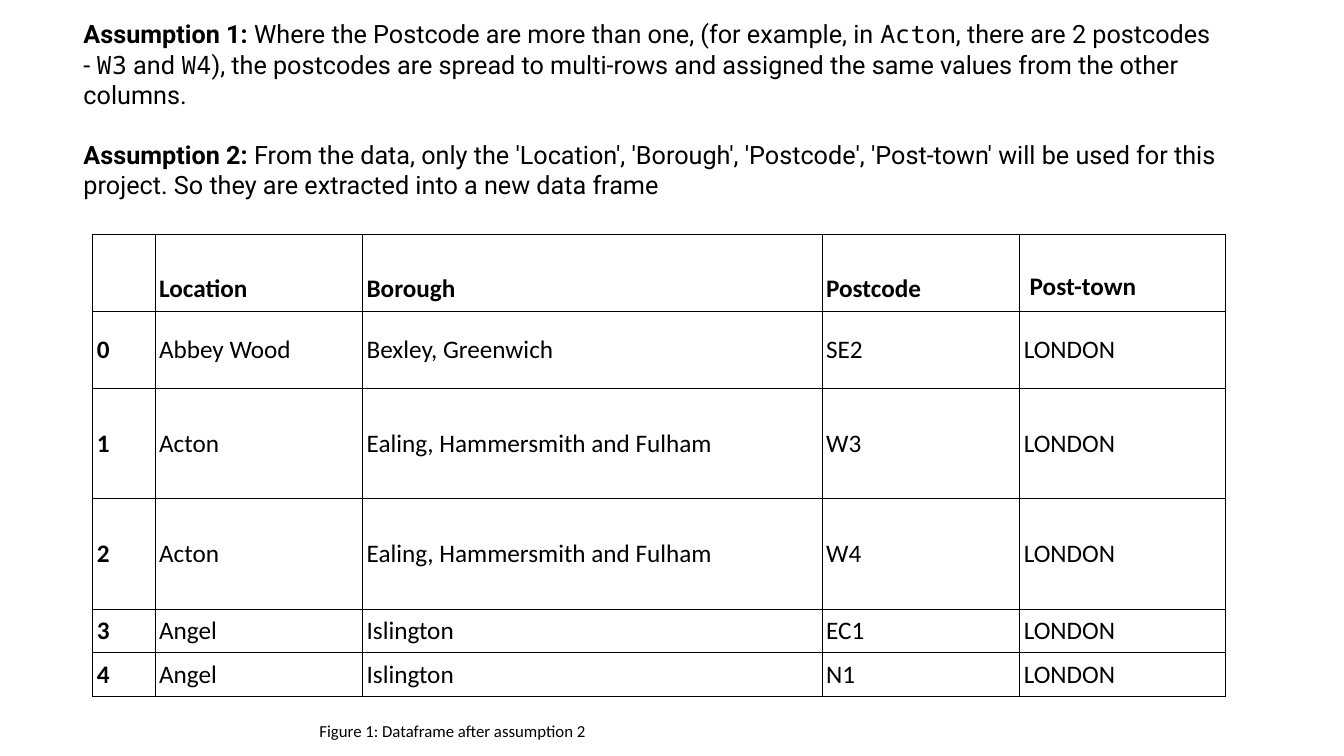
"""Build the slide on the postcode assumptions and the resulting data frame."""
from lxml.etree import SubElement
from pptx import Presentation
from pptx.dml.color import RGBColor
from pptx.enum.text import MSO_ANCHOR, MSO_AUTO_SIZE, PP_ALIGN
from pptx.oxml.ns import qn
from pptx.util import Cm, Pt

COLOURS = {"ink": "000000", "border": "000000"}
BODY, MONO, TABLE = "Roboto", "Noto Sans Mono", "Calibri"
ASSUMPTIONS = [
    [("Assumption 1:", BODY, True),
     (" Where the Postcode are more than one, (for example, in ", BODY, False),
     ("Acton", MONO, False),
     (", there are 2 postcodes - ", BODY, False),
     ("W3", MONO, False),
     (" and ", BODY, False),
     ("W4", MONO, False),
     ("), the postcodes are spread to multi-rows and assigned the same values "
      "from the other columns.", BODY, False)],
    [("Assumption 2:", BODY, True),
     (" From the data, only the 'Location', 'Borough', 'Postcode', 'Post-town' "
      "will be used for this project. So they are extracted into a new data frame",
      BODY, False)],
]
DATAFRAME = [
    ["", "Location", "Borough", "Postcode", "Post-town"],
    ["0", "Abbey Wood", "Bexley, Greenwich", "SE2", "LONDON"],
    ["1", "Acton", "Ealing, Hammersmith and Fulham", "W3", "LONDON"],
    ["2", "Acton", "Ealing, Hammersmith and Fulham", "W4", "LONDON"],
    ["3", "Angel", "Islington", "EC1", "LONDON"],
    ["4", "Angel", "Islington", "N1", "LONDON"],
]
COLUMN_WIDTHS = [1.57, 5.23, 11.58, 4.98, 5.18]
ROW_HEIGHTS = [1.93, 1.93, 2.79, 2.79, 1.09, 1.09]


def apply(target, formats):
    """Set every attribute in formats on the target."""
    for attribute, value in formats.items():
        setattr(target, attribute, value)


def add_run(paragraph, text, font, size, bold=False):
    """Append a run of ink-coloured text."""
    run = paragraph.add_run()
    run.text = text
    apply(run.font, {"name": font, "size": Pt(size), "bold": bold})
    run.font.color.rgb = RGBColor.from_string(COLOURS["ink"])


def fill_title(title):
    """Place the title and write the assumptions in it."""
    apply(title, {"left": Cm(1.85), "top": Cm(1.85), "width": Cm(29.21), "height": Cm(3.3)})
    frame = title.text_frame
    apply(frame, {"word_wrap": True, "auto_size": MSO_AUTO_SIZE.NONE,
                  "vertical_anchor": MSO_ANCHOR.BOTTOM})
    for index, assumption in enumerate(ASSUMPTIONS):
        paragraph = frame.add_paragraph() if index else frame.paragraphs[0]
        apply(paragraph, {"alignment": PP_ALIGN.LEFT, "line_spacing": 1.0,
                          "space_before": Pt(21 * index)})
        for text, font, bold in assumption:
            add_run(paragraph, text, font, 18, bold)


def add_borders(cell):
    """Draw thin lines on all four sides of a cell."""
    properties = cell._tc.get_or_add_tcPr()
    for side in ("a:lnL", "a:lnR", "a:lnT", "a:lnB"):
        line = SubElement(properties, qn(side), w=str(Pt(0.75)))
        solid = SubElement(line, qn("a:solidFill"))
        SubElement(solid, qn("a:srgbClr"), val=COLOURS["border"])


def fill_cell(cell, text, is_header, is_index, is_corner):
    """Format one cell of the data frame and write its text."""
    margin = Cm(0.1)
    formats = {"margin_left": margin, "margin_right": margin, "margin_top": margin,
               "margin_bottom": margin, "vertical_anchor": MSO_ANCHOR.MIDDLE}
    if is_header:
        formats["margin_top"] = Cm(0.89)
    if is_corner:
        formats.update(margin_left=Cm(0.25), margin_top=Cm(0.91),
                       vertical_anchor=MSO_ANCHOR.TOP)
    apply(cell, formats)
    add_borders(cell)
    cell.fill.background()
    paragraph = cell.text_frame.paragraphs[0]
    apply(paragraph, {"alignment": PP_ALIGN.JUSTIFY})
    if text:
        add_run(paragraph, text, TABLE, 18, is_header or is_index)


def add_dataframe(slide):
    """Add the table with the extracted columns."""
    frame = slide.shapes.add_table(
        len(ROW_HEIGHTS), len(COLUMN_WIDTHS), Cm(2.34), Cm(5.92),
        Cm(sum(COLUMN_WIDTHS)), Cm(sum(ROW_HEIGHTS)))
    dataframe = frame.table
    apply(dataframe, {"first_row": False, "horz_banding": False})
    for column, width in zip(dataframe.columns, COLUMN_WIDTHS):
        column.width = Cm(width)
    for row, height in zip(dataframe.rows, ROW_HEIGHTS):
        row.height = Cm(height)
    last = len(COLUMN_WIDTHS) - 1
    for r, record in enumerate(DATAFRAME):
        for c, text in enumerate(record):
            fill_cell(dataframe.cell(r, c), text, r == 0, c == 0, r == 0 and c == last)


def add_caption(slide):
    """Add the figure caption below the table."""
    caption = slide.shapes.add_textbox(Cm(7.8), Cm(18.03), Cm(17.35), Cm(0.76))
    apply(caption.text_frame, {"word_wrap": True,
                               "auto_size": MSO_AUTO_SIZE.SHAPE_TO_FIT_TEXT})
    add_run(caption.text_frame.paragraphs[0],
            "Figure 1: Dataframe after assumption 2", TABLE, 12)


def main():
    """Build and save the presentation."""
    presentation = Presentation()
    apply(presentation, {"slide_width": Cm(33.87), "slide_height": Cm(19.05)})
    slide = presentation.slides.add_slide(presentation.slide_layouts[5])
    fill_title(slide.shapes.title)
    add_dataframe(slide)
    add_caption(slide)
    presentation.save("out.pptx")


if __name__ == "__main__":
    main()
